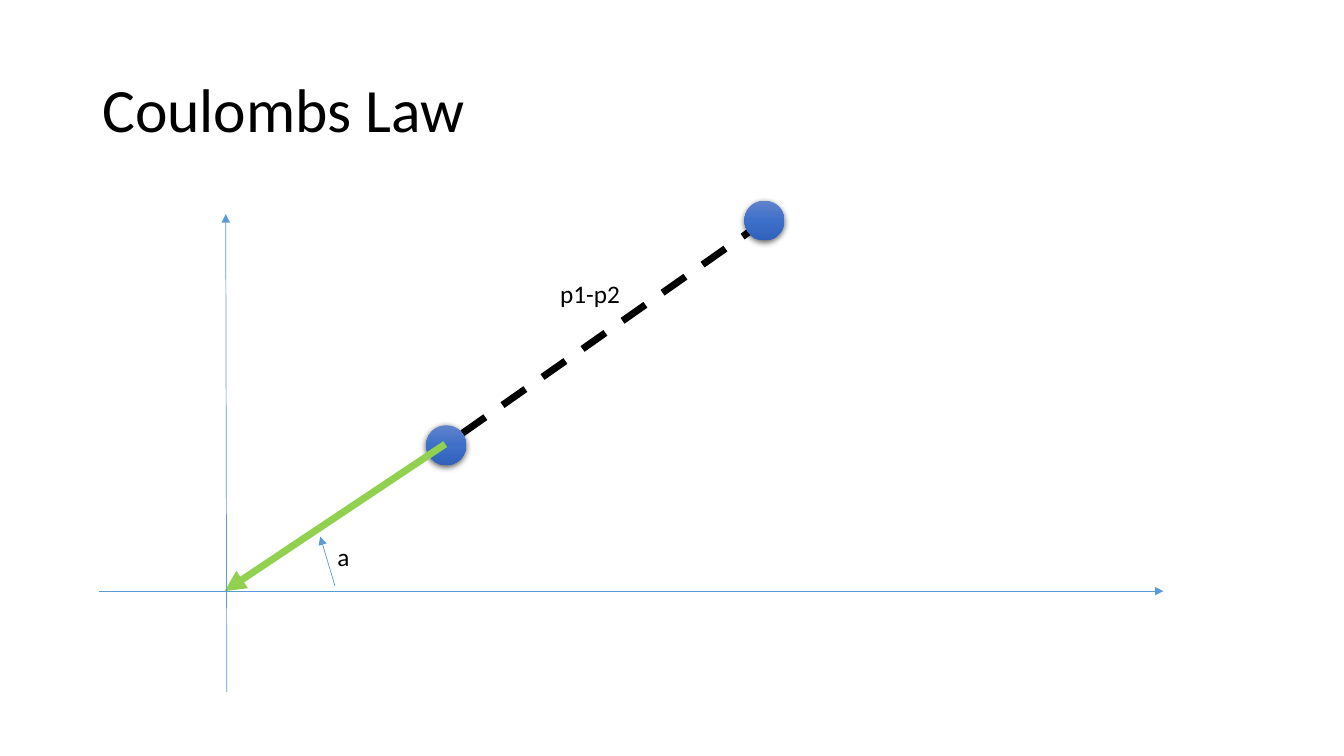
import copy

import pptx
import pptx.dml.color
import pptx.enum.dml
import pptx.enum.shapes
import pptx.enum.text
import pptx.oxml.ns
import pptx.util
from lxml import etree

PX = 9525
FONT = "Calibri"
BLACK = pptx.dml.color.RGBColor(0x00, 0x00, 0x00)
AXIS = pptx.dml.color.RGBColor(0x5B, 0x9B, 0xD5)
FORCE = pptx.dml.color.RGBColor(0x92, 0xD0, 0x50)
CHARGE = [
    pptx.dml.color.RGBColor(0x61, 0x83, 0xCB),
    pptx.dml.color.RGBColor(0x3E, 0x70, 0xCA),
    pptx.dml.color.RGBColor(0x30, 0x62, 0xBB),
]
DOT = 38


def add(parent, tag, **attrs):
    return etree.SubElement(parent, pptx.oxml.ns.qn(tag), attrs)


def add_text(s, box, text, size, wrap=False):
    tf = s.shapes.add_textbox(*[v * PX for v in box]).text_frame
    tf.word_wrap = wrap
    p = tf.paragraphs[0]
    p.text = text
    p.font.name = FONT
    p.font.size = pptx.util.Pt(size)
    p.font.color.rgb = BLACK
    return tf


def add_line(s, start, end, color, width, arrow=True):
    line = s.shapes.add_connector(
        pptx.enum.shapes.MSO_CONNECTOR.STRAIGHT, *[v * PX for v in start + end]
    )
    line.line.color.rgb = color
    line.line.width = pptx.util.Pt(width)
    if arrow:
        add(line.line._get_or_add_ln(), "a:tailEnd", type="triangle")
    add(line._element.spPr, "a:effectLst")
    return line


def add_charge(s, left, top):
    sp = s.shapes.add_shape(
        pptx.enum.shapes.MSO_SHAPE.OVAL, left * PX, top * PX, DOT * PX, DOT * PX
    )
    sp.line.fill.background()
    sp.fill.gradient()
    sp.fill.gradient_angle = 270
    stops = sp._element.spPr.find(".//" + pptx.oxml.ns.qn("a:gsLst"))
    stops.append(copy.deepcopy(stops[0]))
    for i, stop in enumerate(sp.fill.gradient_stops):
        stop.color.rgb = CHARGE[i]
        stop.position = i / 2
    effects = add(sp._element.spPr, "a:effectLst")
    shadow = add(effects, "a:outerShdw", blurRad="57150", dist="19050",
                 dir="5400000", algn="ctr", rotWithShape="0")
    add(add(shadow, "a:srgbClr", val=str(BLACK)), "a:alpha", val="63000")


def add_title(s, box):
    tf = add_text(s, box, "Coulombs Law", 44, wrap=True)
    tf.vertical_anchor = pptx.enum.text.MSO_ANCHOR.MIDDLE
    tf.paragraphs[0].line_spacing = 0.9


def add_diagram(s, box):
    x, y, w, h = box
    axis_y = y + 372

    distance = add_line(s, (x + 635, y + 19), (x + 326, y + 236), BLACK, 5, arrow=False)
    distance.line.dash_style = pptx.enum.dml.MSO_LINE.DASH
    add_charge(s, x + 312, y + 214)
    add_charge(s, x + 615, y)
    add_line(s, (x + 330, y + 232), (x + 120, axis_y), FORCE, 5)
    add_line(s, (x, axis_y), (x + w, axis_y), AXIS, 0.5)
    add_line(s, (x + 225, axis_y - 5), (x + 211, axis_y - 52), AXIS, 0.5)
    add_text(s, (x + 218, axis_y - 52, 31, 38), "a", 18)
    add_line(s, (x + 122, y + h), (x + 121, y + 13), AXIS, 0.5)
    add_text(s, (x + 430, y + 69, 77, 38), "p1-p2", 18)


def main():
    prs = pptx.Presentation()
    prs.slide_width = 1280 * PX
    prs.slide_height = 720 * PX
    s = prs.slides.add_slide(prs.slide_layouts[6])
    add_title(s, (88, 38, 1104, 139))
    add_diagram(s, (94, 191, 1014, 468))
    prs.save("out.pptx")


if __name__ == "__main__":
    main()
